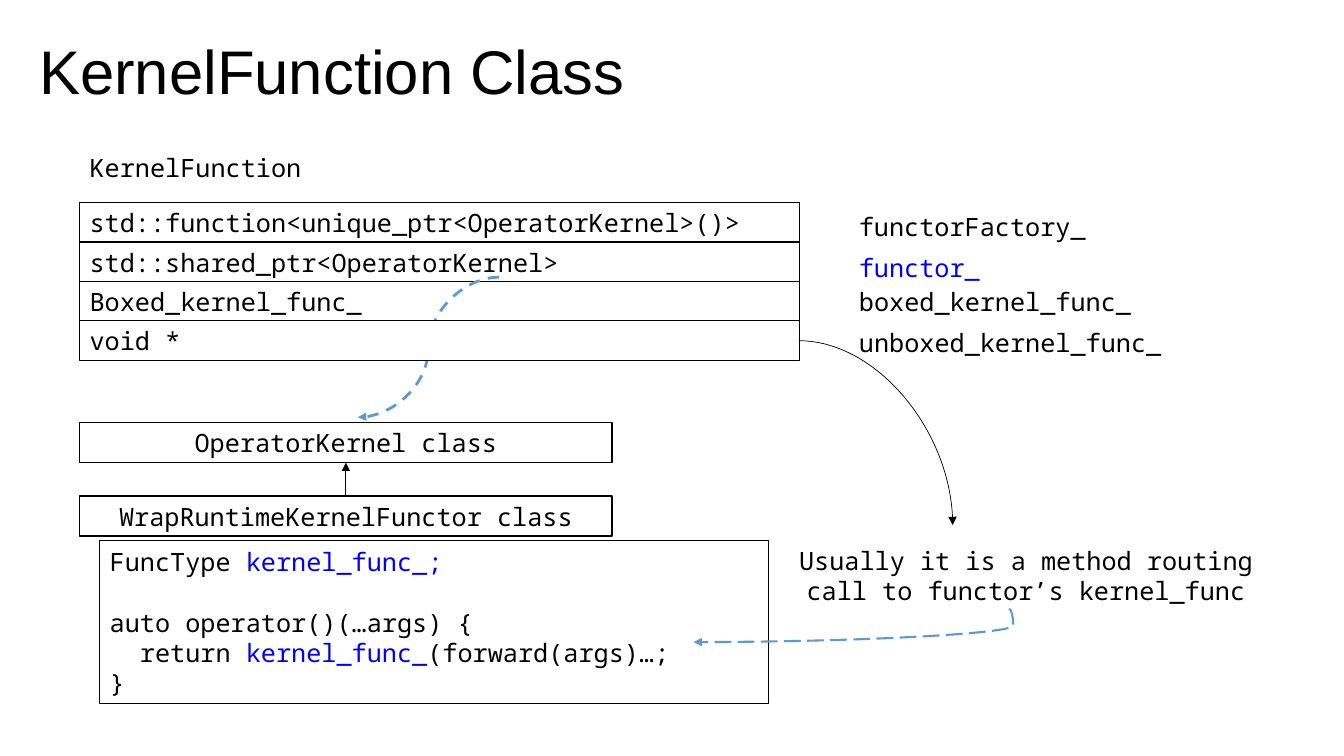
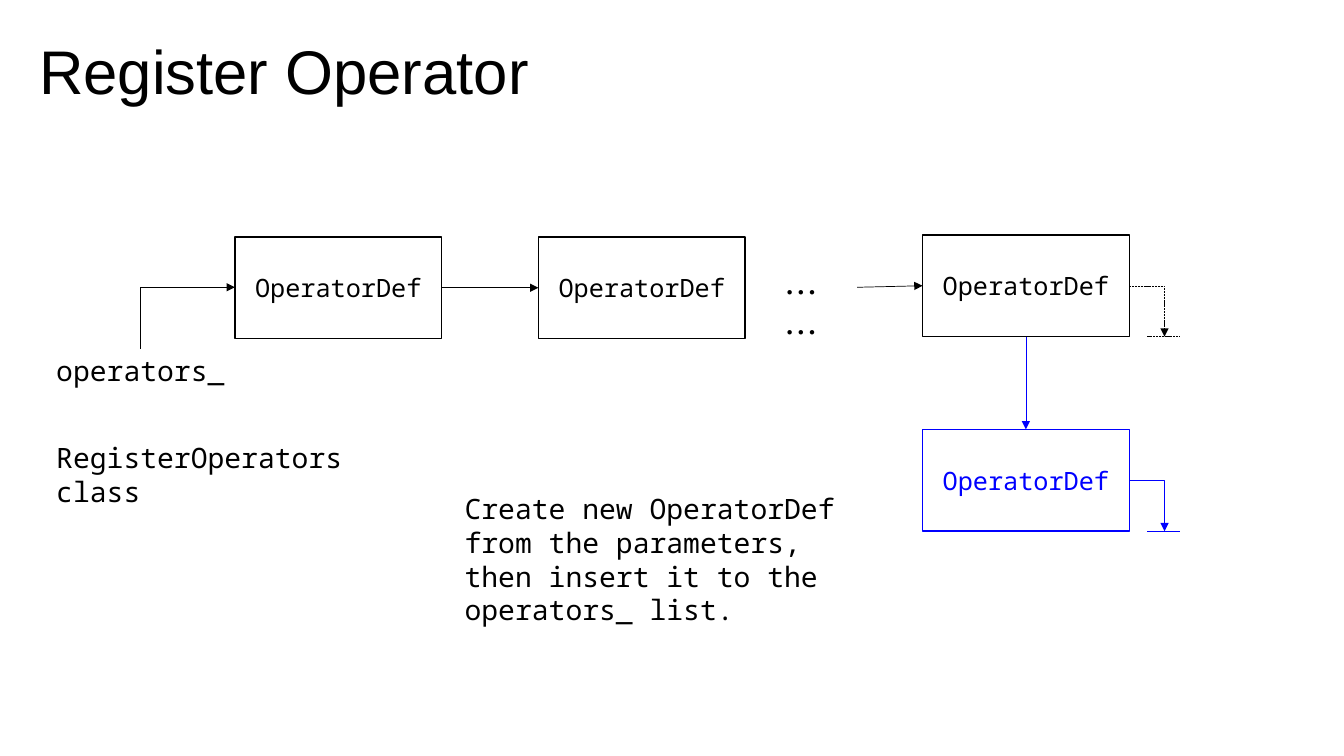
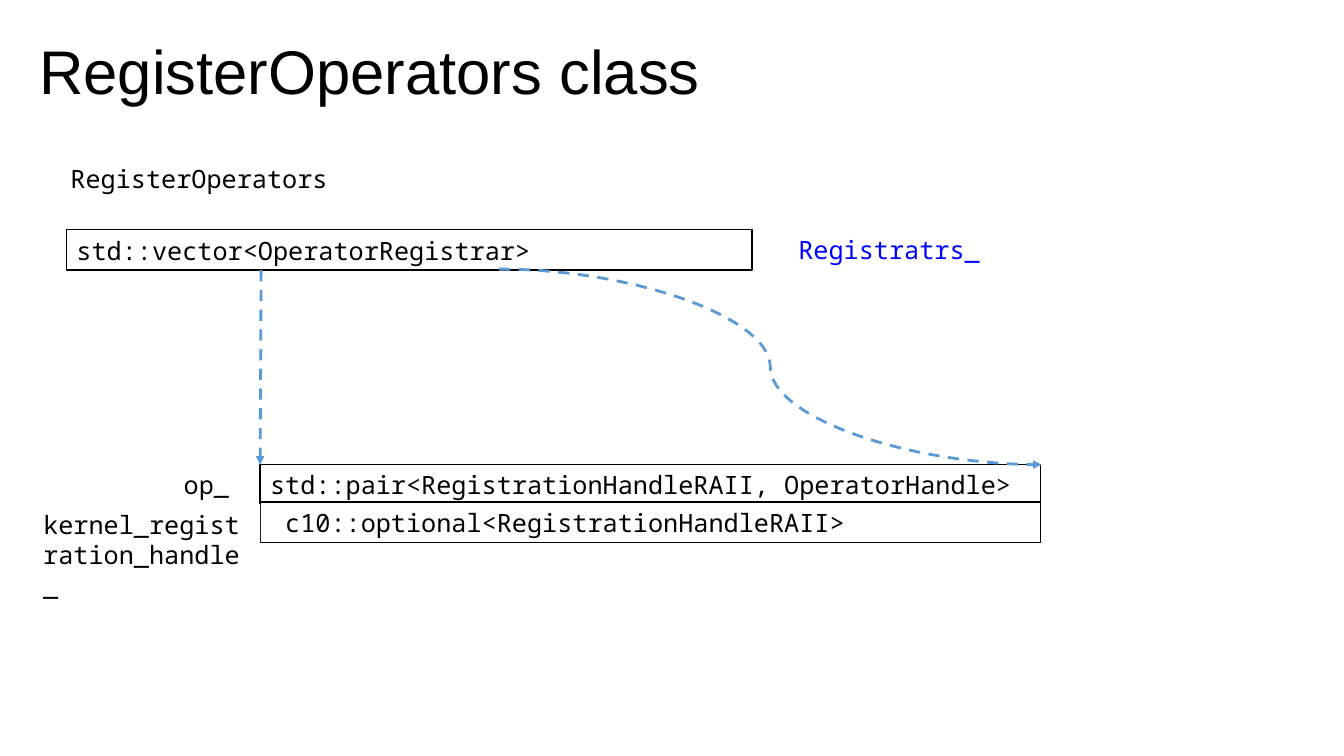
from dataclasses import dataclass
from typing import Optional

from lxml import etree
from pptx import Presentation
from pptx.dml.color import RGBColor
from pptx.enum.dml import MSO_LINE
from pptx.enum.shapes import MSO_CONNECTOR, MSO_SHAPE
from pptx.enum.text import MSO_ANCHOR, PP_ALIGN
from pptx.oxml.ns import qn
from pptx.util import Pt

PX = 9144
COLORS = {"black": "000000", "white": "FFFFFF", "blue": "0000FF", "sky": "5B9BD5"}
SANS, MONO, CJK = "Arial", "Noto Sans Mono", "Noto Sans CJK SC"
LEFT, CENTER, RIGHT = PP_ALIGN.LEFT, PP_ALIGN.CENTER, PP_ALIGN.RIGHT
TOP, MIDDLE = MSO_ANCHOR.TOP, MSO_ANCHOR.MIDDLE
STRAIGHT, ELBOW, CURVE = MSO_CONNECTOR.STRAIGHT, MSO_CONNECTOR.ELBOW, MSO_CONNECTOR.CURVE
DASH, LONG_DASH, SYS_DASH = MSO_LINE.DASH, MSO_LINE.LONG_DASH, MSO_LINE.SQUARE_DOT
SIDE_TOP, SIDE_LEFT, SIDE_BOTTOM, SIDE_RIGHT = range(4)
ROW_H = 40


@dataclass(frozen=True)
class Line:
    runs: tuple[tuple[str, str], ...]
    indent: int = 0
    before: int = 0


@dataclass(frozen=True)
class Box:
    x: int
    y: int
    w: int
    h: int
    text: str | tuple[Line, ...]
    color: str = "black"
    border: Optional[str] = None
    align: PP_ALIGN = LEFT


@dataclass(frozen=True)
class Note:
    x: int
    y: int
    w: int
    h: int
    text: str
    size: int = 20
    font: str = MONO
    anchor: MSO_ANCHOR = TOP
    spacing: float = 1.0


@dataclass(frozen=True)
class Link:
    x1: int
    y1: int
    x2: int
    y2: int
    kind: MSO_CONNECTOR = STRAIGHT
    color: str = "black"
    width: float = 0.5
    dash: Optional[MSO_LINE] = None
    arrow: Optional[str] = "tailEnd"
    preset: Optional[str] = None
    bend: Optional[int] = None


def rgb(name: str) -> RGBColor:
    return RGBColor.from_string(COLORS[name])


def write(tf, lines: tuple[Line, ...], size: int, font: str, align: PP_ALIGN = LEFT) -> None:
    tf.word_wrap = True
    for i, line in enumerate(lines):
        p = tf.paragraphs[0] if i == 0 else tf.add_paragraph()
        p.alignment = align
        p.font.size, p.font.name = Pt(size), font
        if line.before:
            p.space_before = Pt(line.before)
        if line.indent:
            p._p.get_or_add_pPr().set("marL", str(line.indent * PX))
        shared = len({color for _, color in line.runs}) == 1
        if shared:
            p.font.color.rgb = rgb(line.runs[0][1])
        for text, color in line.runs:
            r = p.add_run()
            r.text = text
            if not shared:
                r.font.color.rgb = rgb(color)


def add_box(s, box: Box):
    sp = s.shapes.add_shape(MSO_SHAPE.RECTANGLE, box.x * PX, box.y * PX, box.w * PX, box.h * PX)
    sp.shadow.inherit = False
    sp.fill.solid()
    sp.fill.fore_color.rgb = rgb("white")
    if box.border:
        sp.line.color.rgb = rgb(box.border)
        sp.line.width = Pt(1)
    else:
        sp.line.fill.background()
    sp.text_frame.vertical_anchor = MIDDLE
    lines = (Line(((box.text, box.color),)),) if isinstance(box.text, str) else box.text
    write(sp.text_frame, lines, 18, MONO, box.align)
    return sp


def add_note(s, note: Note) -> None:
    sp = s.shapes.add_textbox(note.x * PX, note.y * PX, note.w * PX, note.h * PX)
    tf = sp.text_frame
    tf.vertical_anchor = note.anchor
    write(tf, (Line(((note.text, "black"),)),), note.size, note.font)
    tf.paragraphs[0].line_spacing = note.spacing


def add_link(s, link: Link):
    cn = s.shapes.add_connector(link.kind, link.x1 * PX, link.y1 * PX, link.x2 * PX, link.y2 * PX)
    cn.line.color.rgb = rgb(link.color)
    cn.line.width = Pt(link.width)
    if link.dash:
        cn.line.dash_style = link.dash
    sppr = cn._element.spPr
    if link.arrow:
        etree.SubElement(sppr.find(qn("a:ln")), qn(f"a:{link.arrow}"), type="triangle")
    etree.SubElement(sppr, qn("a:effectLst"))
    geom = sppr.find(qn("a:prstGeom"))
    if link.preset:
        geom.set("prst", link.preset)
    if link.bend is not None:
        guides = geom.find(qn("a:avLst"))
        etree.SubElement(guides, qn("a:gd"), name="adj1", fmla=f"val {link.bend}")
    return cn


def join(s, start, start_side: int, end, end_side: int, color: str = "black") -> None:
    cn = add_link(s, Link(0, 0, 1, 1, color=color))
    cn.begin_connect(start, start_side)
    cn.end_connect(end, end_side)


def add_slide(prs, title: str):
    s = prs.slides.add_slide(prs.slide_layouts[6])
    add_note(s, Note(29, 14, 1150, 120, title, 44, SANS, MIDDLE, 0.9))
    return s


def kernel_function(prs) -> None:
    s = add_slide(prs, "KernelFunction Class")
    fields = [
        Box(79, 201 + 39 * i, 714, ROW_H, text, border="black")
        for i, text in enumerate((
            "std::function<unique_ptr<OperatorKernel>()>",
            "std::shared_ptr<OperatorKernel>",
            "Boxed_kernel_func_",
            "void *",
        ))
    ]
    for field in fields[:3]:
        add_box(s, field)
    base = add_box(s, Box(79, 419, 528, ROW_H, "OperatorKernel class", border="black", align=CENTER))
    code = (
        Line((("FuncType ", "black"), ("kernel_func_;", "blue"))),
        Line((("auto operator()(…args) {", "black"),), before=22),
        Line((("return ", "black"), ("kernel_func_", "blue"), ("(forward(args)…;", "black")), indent=30),
        Line((("}", "black"),)),
    )
    add_box(s, Box(99, 536, 663, 162, code, border="black"))
    for y, w, text, color in (
        (205, 277, "functorFactory_", "black"),
        (245, 240, "functor_", "blue"),
        (279, 318, "boxed_kernel_func_", "black"),
        (320, 351, "unboxed_kernel_func_", "black"),
    ):
        add_box(s, Box(842, y, w, ROW_H, text, color))
    add_box(s, Box(79, 146, 260, ROW_H, "KernelFunction"))
    add_link(s, Link(495, 275, 355, 414, CURVE, "sky", 2, DASH))
    wrapper = add_box(s, Box(79, 492, 528, ROW_H, "WrapRuntimeKernelFunctor class", border="black", align=CENTER))
    join(s, wrapper, SIDE_TOP, base, SIDE_BOTTOM)
    add_box(s, fields[3])
    add_link(s, Link(792, 338, 945, 521, CURVE, preset="curvedConnector2"))
    add_box(s, Box(775, 535, 485, 71, "Usually it is a method routing call to functor’s kernel_func", align=CENTER))
    add_link(s, Link(1001, 604, 688, 637, CURVE, "sky", 1.5, LONG_DASH, bend=-1300))


def register_operator(prs) -> None:
    s = add_slide(prs, "Register Operator")
    first, second, last, new = (
        add_box(s, Box(x, y, 205, 101, "OperatorDef", color, color, CENTER))
        for x, y, color in ((233, 235, "black"), (534, 235, "black"), (915, 233, "black"), (915, 426, "blue"))
    )
    for y, color, dash in ((284, "black", SYS_DASH), (477, "blue", None)):
        add_link(s, Link(1120, y, 1155, y + 50, ELBOW, color, dash=dash, preset="bentConnector2"))
        add_link(s, Link(1138, y + 50, 1170, y + 50, color=color, dash=dash, arrow=None))
    join(s, first, SIDE_RIGHT, second, SIDE_LEFT)
    join(s, last, SIDE_BOTTOM, new, SIDE_TOP, "blue")
    add_link(s, Link(850, 285, 915, 285)).end_connect(last, SIDE_LEFT)
    add_link(s, Link(233, 285, 139, 346, ELBOW, arrow="headEnd", preset="bentConnector2"))
    for note in (
        Note(46, 346, 187, 44, "operators_"),
        Note(46, 432, 403, 44, "RegisterOperators class"),
        Note(768, 265, 72, 50, "……", 24, CJK),
        Note(451, 483, 403, 145, "Create new OperatorDef from the parameters, then insert it to the operators_ list."),
    ):
        add_note(s, note)


def register_operators_class(prs) -> None:
    s = add_slide(prs, "RegisterOperators class")
    for box in (
        Box(66, 228, 680, ROW_H, "std::vector<OperatorRegistrar>", border="black"),
        Box(258, 461, 774, ROW_H, "std::pair<RegistrationHandleRAII, OperatorHandle>", border="black"),
        Box(258, 498, 774, ROW_H, " c10::optional<RegistrationHandleRAII>", border="black"),
        Box(782, 227, 237, ROW_H, "Registratrs_", "blue"),
        Box(116, 461, 121, ROW_H, "op_", align=RIGHT),
        Box(33, 500, 225, 101, "kernel_registration_handle_"),
        Box(60, 157, 278, ROW_H, "RegisterOperators"),
    ):
        add_box(s, box)
    add_link(s, Link(259, 268, 258, 461, STRAIGHT, "sky", 2, DASH))
    add_link(s, Link(495, 267, 1033, 461, CURVE, "sky", 2, DASH))


def main() -> None:
    prs = Presentation()
    prs.slide_width, prs.slide_height = 1333 * PX, 750 * PX
    kernel_function(prs)
    register_operator(prs)
    register_operators_class(prs)
    prs.save("out.pptx")


if __name__ == "__main__":
    main()
